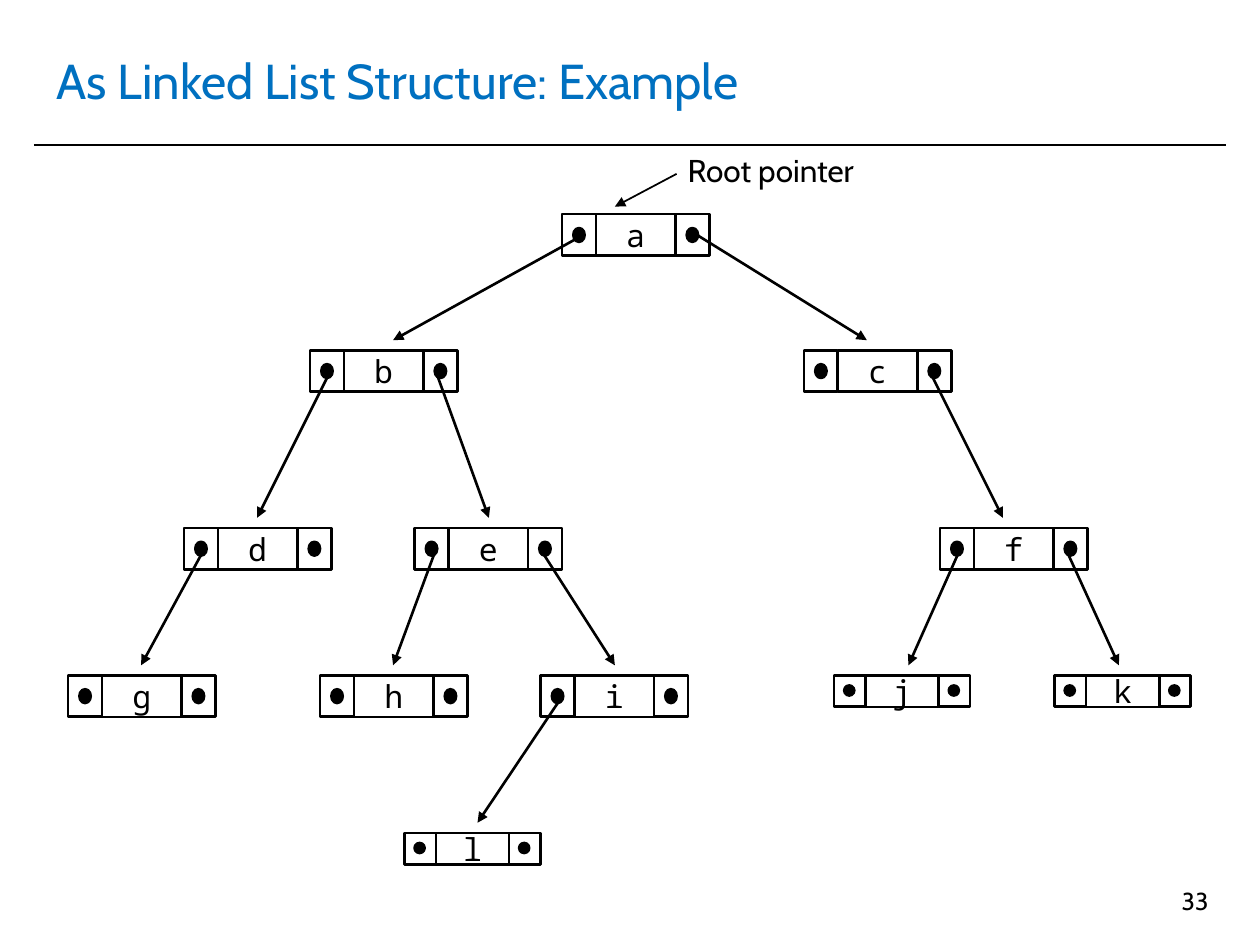
from dataclasses import dataclass

from lxml.etree import SubElement
from pptx import Presentation
from pptx.dml.color import RGBColor
from pptx.enum.shapes import MSO_CONNECTOR as Connector, MSO_SHAPE as Shape
from pptx.enum.text import MSO_ANCHOR as Anchor, PP_ALIGN as Align
from pptx.oxml.ns import qn
from pptx.util import Pt

TITLE = "As Linked List Structure: Example"
ROOT_LABEL = "Root pointer"
PAGE_NUMBER = "33"

LEVEL_TOPS = [170, 278, 419, 536, 661]
NODES = {
    "a": (446, 0, "large"),
    "b": (246, 1, "large"),
    "c": (638, 1, "large"),
    "d": (146, 2, "large"),
    "e": (329, 2, "large"),
    "f": (746, 2, "large"),
    "g": (54, 3, "large"),
    "h": (254, 3, "large"),
    "i": (429, 3, "large"),
    "j": (662, 3, "small"),
    "k": (837, 3, "small"),
    "l": (321, 4, "small"),
}
EDGES = [
    ("a", 462, "b", 312),
    ("a", 554, "c", 688),
    ("b", 262, "d", 204),
    ("b", 346, "e", 388),
    ("c", 738, "f", 796),
    ("d", 162, "g", 112),
    ("e", 346, "h", 312),
    ("e", 429, "i", 488),
    ("f", 762, "j", 721),
    ("f", 846, "k", 888),
    ("i", 446, "l", 379),
]


@dataclass(frozen=True)
class NodeSize:
    pointer: int
    label: int
    height: int
    dot_width: int
    dot_height: int


NODE_SIZES = {
    "large": NodeSize(27, 63, 33, 9, 11),
    "small": NodeSize(25, 58, 25, 8, 8),
}
EDGE_START_DROP = 17
EDGE_END_GAP = 8


@dataclass(frozen=True)
class Theme:
    ink: RGBColor = RGBColor(0, 0, 0)
    accent: RGBColor = RGBColor(0x00, 0x70, 0xC0)
    font: str = "Cabin"
    mono: str = "Noto Sans Mono"
    title: int = 28
    body: int = 18
    footer: int = 14
    thin: float = 1
    thick: float = 1.5


THEME = Theme()
EMU_PER_PX = 9144


def px(*lengths):
    return [length * EMU_PER_PX for length in lengths]


def set_text(shape, text, size, color=THEME.ink, font=THEME.font, align=Align.LEFT,
             anchor=Anchor.TOP, wrap=True):
    frame = shape.text_frame
    frame.text = text
    frame.word_wrap = wrap
    frame.vertical_anchor = anchor
    paragraph = frame.paragraphs[0]
    paragraph.alignment = align
    run_font = paragraph.runs[0].font
    run_font.name = font
    run_font.size = Pt(size)
    run_font.color.rgb = color


def add_line(shapes, start, end, width, arrow=True):
    line = shapes.add_connector(Connector.STRAIGHT, *px(*start, *end))
    line.line.color.rgb = THEME.ink
    line.line.width = Pt(width)
    if arrow:
        SubElement(line.line._get_or_add_ln(), qn("a:tailEnd"), type="triangle")
    SubElement(line._element.spPr, qn("a:effectLst"))


def add_outlined(shapes, kind, box, filled=False):
    shape = shapes.add_shape(kind, *px(*box))
    shape.shadow.inherit = False
    if filled:
        shape.fill.solid()
        shape.fill.fore_color.rgb = THEME.ink
    else:
        shape.fill.background()
    shape.line.color.rgb = THEME.ink
    shape.line.width = Pt(THEME.thick)
    return shape


def add_node(shapes, letter, left, level, size_name):
    size = NODE_SIZES[size_name]
    top = LEVEL_TOPS[level]
    label_left = left + size.pointer
    dot_top = top + (size.height - size.dot_height) // 2
    for pointer_left in (left, label_left + size.label):
        dot_left = pointer_left + (size.pointer - size.dot_width) // 2
        add_outlined(shapes, Shape.RECTANGLE, (pointer_left, top, size.pointer, size.height))
        add_outlined(shapes, Shape.OVAL, (dot_left, dot_top, size.dot_width, size.dot_height), True)
    label = add_outlined(shapes, Shape.FLOWCHART_PROCESS, (label_left, top, size.label, size.height))
    set_text(label, letter, THEME.body, font=THEME.mono, align=Align.CENTER,
             anchor=Anchor.MIDDLE, wrap=False)


def main():
    presentation = Presentation()
    presentation.slide_width, presentation.slide_height = px(1000, 750)
    slide = presentation.slides.add_slide(presentation.slide_layouts[6])
    shapes = slide.shapes

    add_line(shapes, (27, 115), (973, 115), THEME.thin, arrow=False)
    title = shapes.add_textbox(*px(35, 21, 929, 85))
    set_text(title, TITLE, THEME.title, THEME.accent, anchor=Anchor.MIDDLE)

    for letter, node in NODES.items():
        add_node(shapes.add_group_shape().shapes, letter, *node)
    for parent, start_x, child, end_x in EDGES:
        start_y = LEVEL_TOPS[NODES[parent][1]] + EDGE_START_DROP
        end_y = LEVEL_TOPS[NODES[child][1]] - EDGE_END_GAP
        add_line(shapes, (start_x, start_y), (end_x, end_y), THEME.thick)

    root_label = shapes.add_textbox(*px(536, 115, 165, 40))
    set_text(root_label, ROOT_LABEL, THEME.body)
    add_line(shapes, (537, 138), (488, 164), THEME.thin)
    page_number = shapes.add_textbox(*px(736, 698, 233, 52))
    set_text(page_number, PAGE_NUMBER, THEME.footer, align=Align.RIGHT)

    presentation.save("out.pptx")


if __name__ == "__main__":
    main()
